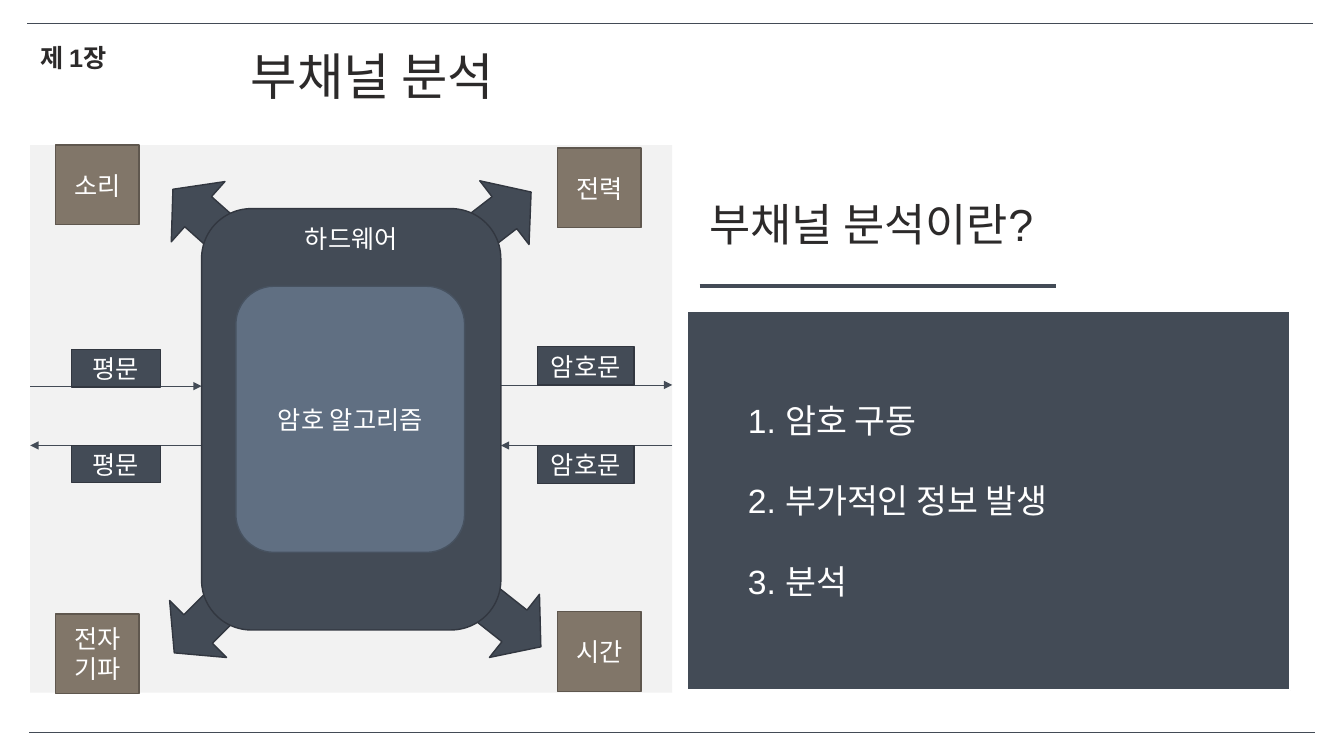
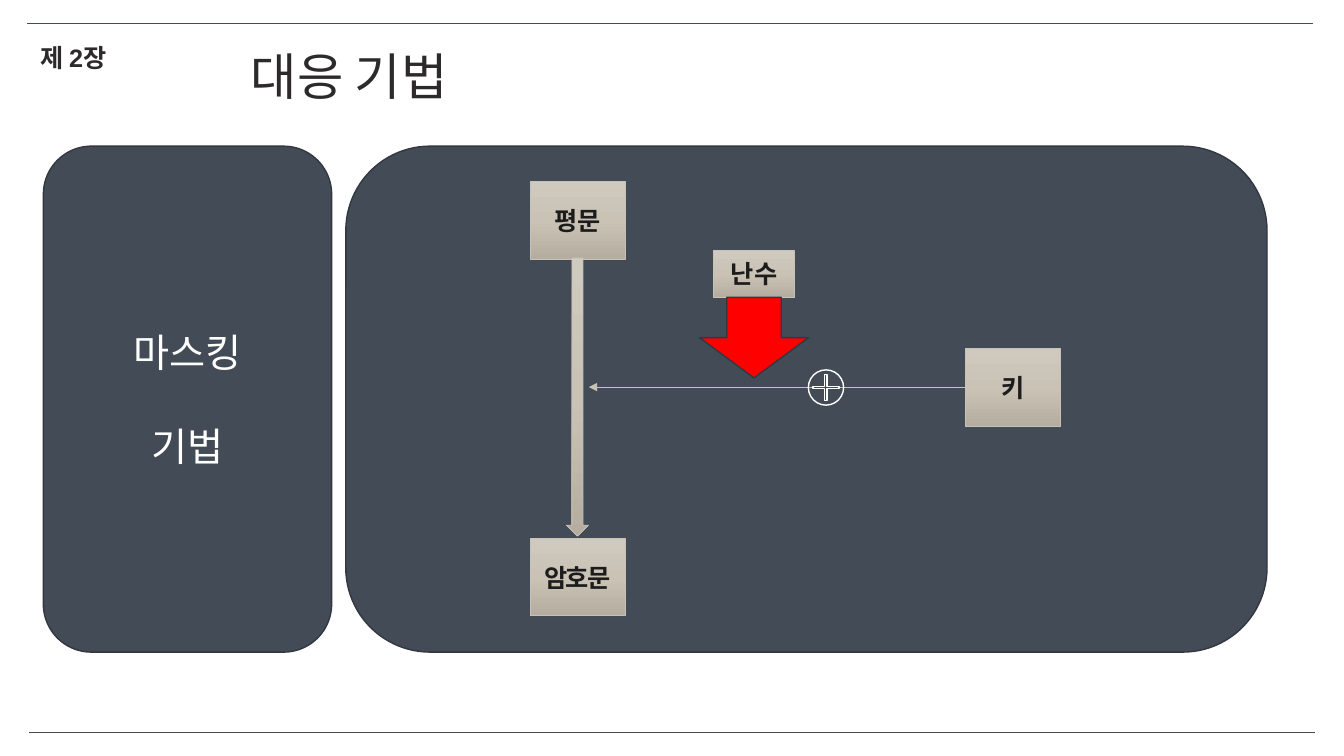
import copy
import pptx
import pptx.util
import pptx.oxml.ns
import pptx.oxml.xmlchemy
import pptx.dml.color
import pptx.enum.shapes
import pptx.enum.text

Pt = pptx.util.Pt
RGB = pptx.dml.color.RGBColor.from_string
SHAPE = pptx.enum.shapes.MSO_SHAPE
ALIGN = pptx.enum.text.PP_ALIGN
ANCHOR = pptx.enum.text.MSO_ANCHOR
qn = pptx.oxml.ns.qn
new_element = pptx.oxml.xmlchemy.OxmlElement

THEME = {
    "font": "Arial",
    "slate": "434B56", "slate_edge": "323740",
    "steel": "606F82", "steel_edge": "475260",
    "taupe": "817669", "taupe_edge": "5F574E",
    "sand": ("CFCABF", "C9C2B5", "B4ADA0"), "sand_edge": "C8C2B6",
    "mist": "F2F2F2", "white": "FFFFFF", "red": "FF0000",
    "ink": "2C2A2A", "dark": "1D1C1C",
    "title": 36, "heading": 32, "panel": 28, "list": 24, "label": 18,
}


def write(shape, lines, size, color, bold=False, align=ALIGN.LEFT, anchor=ANCHOR.TOP, gap=0):
    """Fill a shape with paragraphs that stand gap points apart."""
    frame = shape.text_frame
    frame_format = {"word_wrap": True, "vertical_anchor": anchor,
                    "auto_size": pptx.enum.text.MSO_AUTO_SIZE.NONE}
    for name, value in frame_format.items():
        setattr(frame, name, value)
    frame.text = "\n".join(lines)
    for index, paragraph in enumerate(frame.paragraphs):
        paragraph_format = {"alignment": align, "space_before": Pt(gap if index else 0),
                            "space_after": Pt(0)}
        for name, value in paragraph_format.items():
            setattr(paragraph, name, value)
        font = paragraph.runs[0].font
        for name, value in {"name": THEME["font"], "size": Pt(size), "bold": bold}.items():
            setattr(font, name, value)
        font.color.rgb = RGB(THEME[color])


def add_box(shapes, kind, box, fill, edge=None, text=None, size="label", color="white",
            bold=False, gap=0, width=1, rotation=0):
    """Add a preset shape with theme fill, theme edge and centred text."""
    shape = shapes.add_shape(kind, *map(Pt, box))
    shape.shadow.inherit = False
    shape.rotation = rotation
    if fill is None:
        shape.fill.background()
    elif fill == "sand":
        shape.fill.gradient()
        shape.fill.gradient_angle = 270
        stop_list = shape.element.spPr.find(".//" + qn("a:gsLst"))
        stop_list.insert(1, copy.deepcopy(stop_list[0]))
        for index, stop in enumerate(shape.fill.gradient_stops):
            stop.position = index / 2
            stop.color.rgb = RGB(THEME["sand"][index])
    else:
        shape.fill.solid()
        shape.fill.fore_color.rgb = RGB(THEME[fill])
    if edge:
        shape.line.color.rgb = RGB(THEME[edge])
        shape.line.width = Pt(width)
    else:
        shape.line.fill.background()
    if text:
        write(shape, text.split("\n"), THEME[size], color, bold, ALIGN.CENTER, ANCHOR.MIDDLE, gap)
    return shape


presentation = pptx.Presentation()
presentation.slide_width, presentation.slide_height = Pt(960), Pt(540)
master = presentation.slide_master

# Slides with chapter mark and title
slides = []
for number, (layout, title) in enumerate([(1, "부채널 분석"), (5, "대응 기법")], 1):
    slide = presentation.slides.add_slide(presentation.slide_layouts[layout])
    slides.append(slide)
    heading = slide.shapes.title
    heading.left, heading.top, heading.width, heading.height = map(Pt, (172, 28.8, 307.4, 51))
    write(heading, [title], THEME["title"], "ink")
    chapter = slide.shapes.add_textbox(*map(Pt, (21.6, 26.6, 91.4, 29)))
    write(chapter, [f"제 {number}장"], THEME["label"], "ink", bold=True)
analysis, defence = slides

# Panels behind the diagrams
add_box(analysis.shapes, SHAPE.RECTANGLE, (21.6, 103.7, 458.6, 391), "mist")
add_box(defence.shapes, SHAPE.ROUNDED_RECTANGLE, (31, 104.4, 205.9, 361.4), "slate", "slate_edge",
        "마스킹\n기법", "panel", gap=33.5)
add_box(defence.shapes, SHAPE.ROUNDED_RECTANGLE, (247, 104.4, 658, 361.4), "slate", "slate_edge")

# Lines: page rules (kept on the master), heading underline, data flow
lines = [
    (analysis, (19.4, 16.6, 938.2, 16.6), "slate", 0.5, "rule"),
    (analysis, (20.9, 523.4, 939.6, 523.4), "slate", 0.5, "rule"),
    (analysis, (499.7, 204.5, 754.6, 204.5), "slate", 3, "plain"),
    (analysis, (21.6, 275.8, 144, 275.8), "slate", 0.5, "arrow"),
    (analysis, (357.8, 275, 480.2, 275), "slate", 0.5, "arrow"),
    (analysis, (480.2, 318.2, 357.8, 318.2), "slate", 0.5, "arrow"),
    (analysis, (144, 318.2, 21.6, 318.2), "slate", 0.5, "arrow"),
    (defence, (689.8, 276.5, 420.5, 276.5), "sand_edge", 0.5, "arrow"),
]
for index, (slide, ends, color, width, role) in enumerate(lines):
    connector = slide.shapes.add_connector(pptx.enum.shapes.MSO_CONNECTOR.STRAIGHT, *map(Pt, ends))
    connector.line.color.rgb = RGB(THEME[color])
    connector.line.width = Pt(width)
    properties = connector.element.spPr
    properties.append(new_element("a:effectLst"))
    if role == "arrow":
        tail = new_element("a:tailEnd")
        tail.set("type", "triangle")
        properties.find(qn("a:ln")).append(tail)
    if role == "rule":
        connector.element.xpath(".//p:cNvPr")[0].set("id", str(20 + index))
        master.shapes.element.append(connector.element)

# Slide 1: leak arrows, data tags and side channels around the hardware
for left, top, rotation in [(336.2, 123.1, 322.3), (343.4, 418.3, 38.4),
                            (117.4, 420.5, 135), (117.4, 122.4, 221.7)]:
    add_box(analysis.shapes, SHAPE.RIGHT_ARROW, (left, top, 48.2, 57.6), "slate", "slate_edge",
            rotation=rotation)
for text, left, width, height, tops in [("평문", 51.1, 63.4, 26.6, (249.8, 318.2)),
                                        ("암호문", 383.8, 69.1, 27.4, (247.7, 318.2))]:
    for top in tops:
        add_box(analysis.shapes, SHAPE.RECTANGLE, (left, top, width, height),
                "slate", "slate_edge", text)
for text, left, top in [("소리", 39.6, 103.7), ("전력", 398.2, 105.8),
                        ("전자기파", 39.6, 438.5), ("시간", 398.2, 437)]:
    add_box(analysis.shapes, SHAPE.RECTANGLE, (left, top, 59.8, 56.9), "taupe", "taupe_edge", text)
hardware = add_box(analysis.shapes, SHAPE.ROUNDED_RECTANGLE, (144, 149, 213.8, 301),
                   "slate", "slate_edge", "하드웨어")
hardware.text_frame.vertical_anchor = ANCHOR.TOP
hardware.text_frame.margin_top = 0
add_box(analysis.shapes, SHAPE.ROUNDED_RECTANGLE, (168.5, 204.5, 163.4, 190.1),
        "steel", "steel_edge", "암호 알고리즘")

# Slide 1: question and steps
question = analysis.shapes.add_textbox(*map(Pt, (499.7, 136.8, 307.4, 46)))
write(question, ["부채널 분석이란?"], THEME["heading"], "ink")
steps = analysis.placeholders[1]
steps.left, steps.top, steps.width, steps.height = map(Pt, (491, 221.8, 430.6, 271.4))
steps.fill.solid()
steps.fill.fore_color.rgb = RGB(THEME["slate"])
steps.line.color.rgb = RGB(THEME["white"])
steps.line.width = Pt(1.5)
write(steps, ["1. 암호 구동", "2. 부가적인 정보 발생", "3. 분석"], THEME["list"], "white",
      anchor=ANCHOR.MIDDLE, gap=29)
for paragraph in steps.text_frame.paragraphs:
    paragraph.level = 1
    paragraph_properties = paragraph._p.get_or_add_pPr()
    paragraph_properties.set("marL", str(Pt(36)))
    paragraph_properties.set("indent", "0")
    paragraph_properties.append(new_element("a:buNone"))

# Slide 2: masking flow
for text, box in [("평문", (378.7, 129.6, 67.7, 55.4)), ("암호문", (378.7, 384.5, 67.7, 55.4)),
                  ("키", (689.8, 249.1, 67.7, 55.4)), ("난수", (509.8, 178.6, 57.6, 33.8)),
                  (None, (404.6, 184.3, 15.8, 198.7))]:
    block = add_box(defence.shapes, SHAPE.RECTANGLE if text else SHAPE.DOWN_ARROW, box, "sand",
                    "sand_edge", text, color="dark", bold=True, width=0.5)
    if text == "암호문":
        block.text_frame.paragraphs[0].runs[0].font._element.set("spc", "-150")
add_box(defence.shapes, SHAPE.DOWN_ARROW, (499.7, 212.4, 77.8, 57.6), "red", "slate_edge")

# Slide 2: exclusive-or sign
xor_sign = defence.shapes.add_group_shape()
xor_box = (577.4, 264.2, 25.2, 25.2)
plus = add_box(xor_sign.shapes, SHAPE.MATH_PLUS, xor_box, "slate", "white")
plus.adjustments[0] = 0.07
add_box(xor_sign.shapes, SHAPE.OVAL, xor_box, None, "white")

presentation.save("out.pptx")
